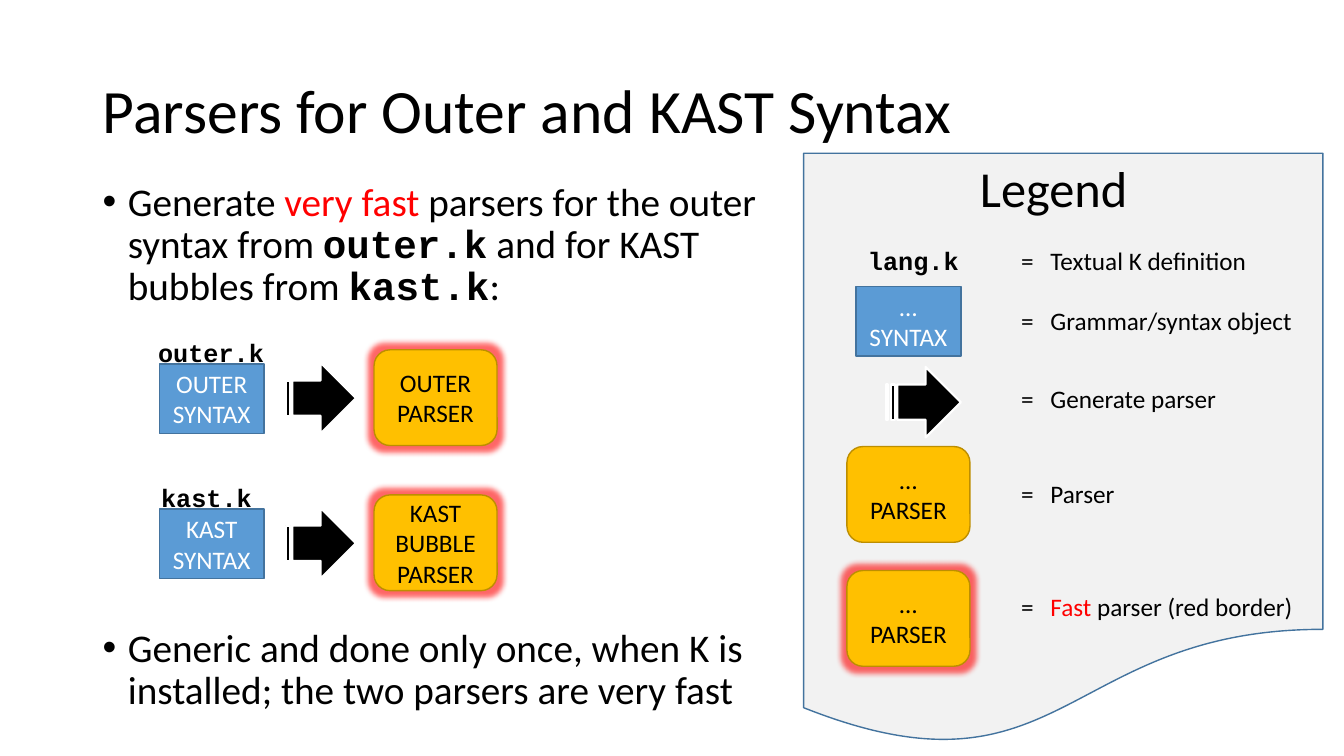
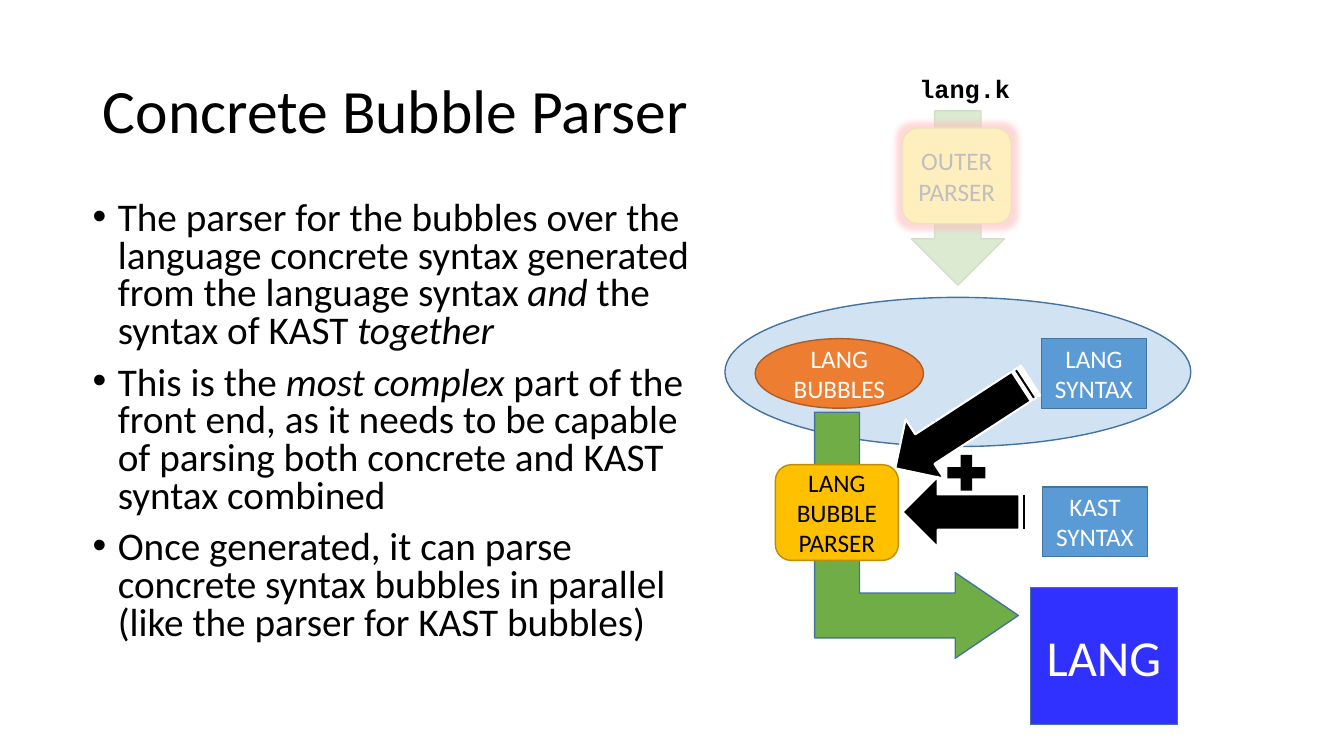
"""Build two slides on generating parsers for K syntax."""
from lxml import etree
from pptx import Presentation
from pptx.dml.color import RGBColor
from pptx.enum.dml import MSO_PATTERN
from pptx.enum.shapes import MSO_SHAPE
from pptx.enum.text import MSO_ANCHOR, PP_ALIGN
from pptx.oxml.ns import qn
from pptx.util import Inches, Pt

RECT = MSO_SHAPE.RECTANGLE
ROUNDED = MSO_SHAPE.ROUNDED_RECTANGLE
OVAL = MSO_SHAPE.OVAL
STRIPED_ARROW = MSO_SHAPE.STRIPED_RIGHT_ARROW
DOWN_ARROW = MSO_SHAPE.DOWN_ARROW
BENT_ARROW = MSO_SHAPE.BENT_UP_ARROW
DOCUMENT = MSO_SHAPE.FLOWCHART_DOCUMENT
PLUS = MSO_SHAPE.MATH_PLUS
DARK_VERTICAL = MSO_PATTERN.DARK_VERTICAL
MIDDLE = MSO_ANCHOR.MIDDLE
LEFT, CENTER = PP_ALIGN.LEFT, PP_ALIGN.CENTER

rgb = RGBColor.from_string
BLACK, WHITE, RED = "000000", "FFFFFF", "FF0000"
BLUE, BLUE_EDGE = "5B9BD5", "43739E"
GOLD, GOLD_EDGE = "FFC000", "BD8E00"
GREEN, GREEN_EDGE = "70AD47", "538035"
ORANGE, ORANGE_EDGE = "ED7D31", "AF5C24"
LANG_BLUE, PANEL_GREY = "3131FF", "F2F2F2"
BODY_FONT, CODE_FONT = "Calibri", "Courier New"

SYNTAX = dict(kind=RECT, fill=BLUE, edge=BLUE_EDGE, color=WHITE)
PARSER = dict(kind=ROUNDED, fill=GOLD, edge=GOLD_EDGE, color=BLACK)
GENERATE = dict(kind=STRIPED_ARROW, fill=BLACK, edge=WHITE, edge_width=1.5)


def write(frame, paragraphs, size=18, color=BLACK, align=LEFT):
    """Fill a frame with paragraphs, each a list of (text, style) runs."""
    frame.word_wrap = True
    for index, runs in enumerate(paragraphs):
        paragraph = frame.add_paragraph() if index else frame.paragraphs[0]
        paragraph.alignment = align
        for text, style in runs:
            run = paragraph.add_run()
            run.text = text
            run.font.size = Pt(size)
            run.font.name = CODE_FONT if style == "code" else BODY_FONT
            run.font.bold = style == "code"
            run.font.italic = style == "italic"
            run.font.color.rgb = rgb(RED if style == "red" else color)


def add_part(slide, box, kind, fill, edge=None, edge_width=1, lines=(), size=18,
             color=WHITE, opacity=100, glow=False, rotation=0):
    """Add a preset shape with centred lines of text."""
    part = slide.shapes.add_shape(kind, *map(Inches, box))
    part.shadow.inherit = False
    part.rotation = rotation
    part.fill.solid()
    part.fill.fore_color.rgb = rgb(fill)
    properties = part._element.spPr
    if opacity < 100:
        fill_color = properties.find(qn("a:solidFill"))[0]
        etree.SubElement(fill_color, qn("a:alpha"), val=str(opacity * 1000))
    if edge:
        part.line.color.rgb = rgb(edge)
        part.line.width = Pt(edge_width)
    else:
        part.line.fill.background()
    if glow:
        halo = etree.SubElement(properties.find(qn("a:effectLst")), qn("a:glow"), rad="101600")
        halo_color = etree.SubElement(halo, qn("a:srgbClr"), val=RED)
        etree.SubElement(halo_color, qn("a:alpha"), val="60000")
    if lines:
        part.text_frame.vertical_anchor = MIDDLE
        write(part.text_frame, [[(line, "")] for line in lines], size, color, CENTER)
    return part


prs = Presentation()
prs.slide_width, prs.slide_height = Inches(13.33), Inches(7.5)

pages = [
    ("Parsers for Outer and KAST Syntax", (0.92, 1.76, 6.68, 5.59), 0.9, 228, [
        [("Generate ", ""), ("very fast ", "red"),
         ("parsers for the outer syntax from ", ""), ("outer.k", "code"),
         (" and for KAST bubbles from ", ""), ("kast.k", "code"), (":", "")],
        [("Generic and done only once, when K is installed; "
          "the two parsers are very fast", "")],
    ]),
    ("Concrete Bubble Parser", (0.82, 1.95, 6.12, 4.76), 0.8, 10, [
        [("The parser for the bubbles over the language concrete syntax generated "
          "from the language syntax ", ""), ("and", "italic"),
         (" the syntax of KAST ", ""), ("together", "italic")],
        [("This is the ", ""), ("most complex ", "italic"),
         ("part of the front end, as it needs to be capable of parsing both "
          "concrete and KAST syntax combined", "")],
        [("Once generated, it can parse concrete syntax bubbles in parallel "
          "(like the parser for KAST bubbles)", "")],
    ]),
]
slides = []
for heading, body_box, line_spacing, gap, points in pages:
    slide = prs.slides.add_slide(prs.slide_layouts[5])
    slides.append(slide)
    title = slide.shapes.title
    title.left, title.top, title.width, title.height = map(Inches, (0.92, 0.4, 11.5, 1.45))
    title.text_frame.vertical_anchor = MIDDLE
    write(title.text_frame, [[(heading, "")]], 44)
    title.text_frame.paragraphs[0].line_spacing = 0.9

    body = slide.shapes.add_textbox(*map(Inches, body_box)).text_frame
    write(body, points, 28)
    for index, point in enumerate(body.paragraphs):
        point.line_spacing = line_spacing
        point.space_before = Pt(gap if index else 0)
        layout = point._p.get_or_add_pPr()
        layout.set("marL", str(Inches(0.25)))
        layout.set("indent", str(-Inches(0.25)))
        etree.SubElement(layout, qn("a:buFont"), typeface="Arial")
        etree.SubElement(layout, qn("a:buChar"), char="•")

overview, concrete = slides

add_part(overview, (7.97, 1.52, 5.15, 5.89), DOCUMENT, PANEL_GREY, BLUE_EDGE)

generators = [
    ("outer.k", 1.47, 3.61, ["OUTER", "SYNTAX"], ["OUTER", "PARSER"]),
    ("kast.k", 1.5, 5.05, ["KAST", "SYNTAX"], ["KAST", "BUBBLE", "PARSER"]),
]
for file_name, name_left, top, syntax, parser in generators:
    file_label = overview.shapes.add_textbox(*map(Inches, (name_left, top - 0.31, 1.4, 0.4)))
    write(file_label.text_frame, [[(file_name, "code")]])
    add_part(overview, (1.58, top, 1.04, 0.69), lines=syntax, **SYNTAX)
    add_part(overview, (2.79, top - 0.01, 0.74, 0.7), **GENERATE)
    add_part(overview, (3.71, top - 0.14, 1.22, 0.95), lines=parser, glow=True, **PARSER)

add_part(overview, (8.49, 2.84, 1.04, 0.69), lines=["…", "SYNTAX"], **SYNTAX)
add_part(overview, (8.79, 3.64, 0.74, 0.7), **GENERATE)
for top, fast in ((4.43, False), (5.66, True)):
    add_part(overview, (8.4, top, 1.22, 0.95), lines=["…", "PARSER"], glow=fast, **PARSER)

legend_title = overview.shapes.add_textbox(*map(Inches, (9.62, 1.51, 1.8, 0.71)))
write(legend_title.text_frame, [[("Legend", "")]], 36)
meanings = [
    (2.38, [("Textual K definition", "")]),
    (2.98, [("Grammar/syntax object", "")]),
    (3.75, [("Generate parser", "")]),
    (4.7, [("Parser", "")]),
    (5.82, [("Fast", "red"), (" parser (red border)", "")]),
]
for top, meaning in meanings:
    for left, width, runs in ((10.03, 0.4, [("=", "")]), (10.32, 2.8, meaning)):
        entry = overview.shapes.add_textbox(*map(Inches, (left, top, width, 0.4)))
        write(entry.text_frame, [runs])

for slide, left, top in ((overview, 8.51, 2.38), (concrete, 9.02, 0.68)):
    lang_file = slide.shapes.add_textbox(*map(Inches, (left, top, 1.3, 0.4)))
    write(lang_file.text_frame, [[("lang.k", "code")]])

add_part(concrete, (7.19, 2.95, 4.62, 1.48), OVAL, BLUE, BLUE_EDGE, opacity=28)
parse_flow = add_part(concrete, (7.87, 4.3, 2.44, 2.02), BENT_ARROW, GREEN, BLUE_EDGE,
                      rotation=90)
for index, adjustment in enumerate((0.22, 0.21, 0.31)):
    parse_flow.adjustments[index] = adjustment
parse_flow.fill.patterned()
parse_flow.fill.pattern = DARK_VERTICAL
parse_flow.fill.fore_color.rgb = rgb(GREEN)
parse_flow.fill.back_color.rgb = rgb(WHITE)

add_part(concrete, (10.33, 3.36, 1.04, 0.69), lines=["LANG", "SYNTAX"], **SYNTAX)
add_part(concrete, (9.04, 1.1, 0.92, 1.73), DOWN_ARROW, GREEN, GREEN_EDGE)
add_part(concrete, (8.95, 1.27, 1.08, 0.95), lines=["OUTER", "PARSER"], glow=True, **PARSER)
add_part(concrete, (7.49, 3.36, 1.67, 0.69), OVAL, ORANGE, ORANGE_EDGE,
         lines=["LANG", "BUBBLES"])
add_part(concrete, (7.69, 4.61, 1.22, 0.95), lines=["LANG", "BUBBLE", "PARSER"], **PARSER)
add_part(concrete, (10.34, 4.83, 1.04, 0.69), lines=["KAST", "SYNTAX"], **SYNTAX)
add_part(concrete, (8.75, 3.86, 1.6, 0.7), rotation=147, **GENERATE)
add_part(concrete, (8.95, 4.73, 1.27, 0.7), rotation=180, **GENERATE)
add_part(concrete, (10.22, 5.83, 1.46, 1.36), RECT, LANG_BLUE, BLUE_EDGE,
         lines=["LANG"], size=36)
add_part(concrete, (9.33, 4.45, 0.51, 0.48), PLUS, BLACK)
add_part(concrete, (8.69, 1.06, 1.73, 1.8), RECT, WHITE, opacity=75)

prs.save("out.pptx")
